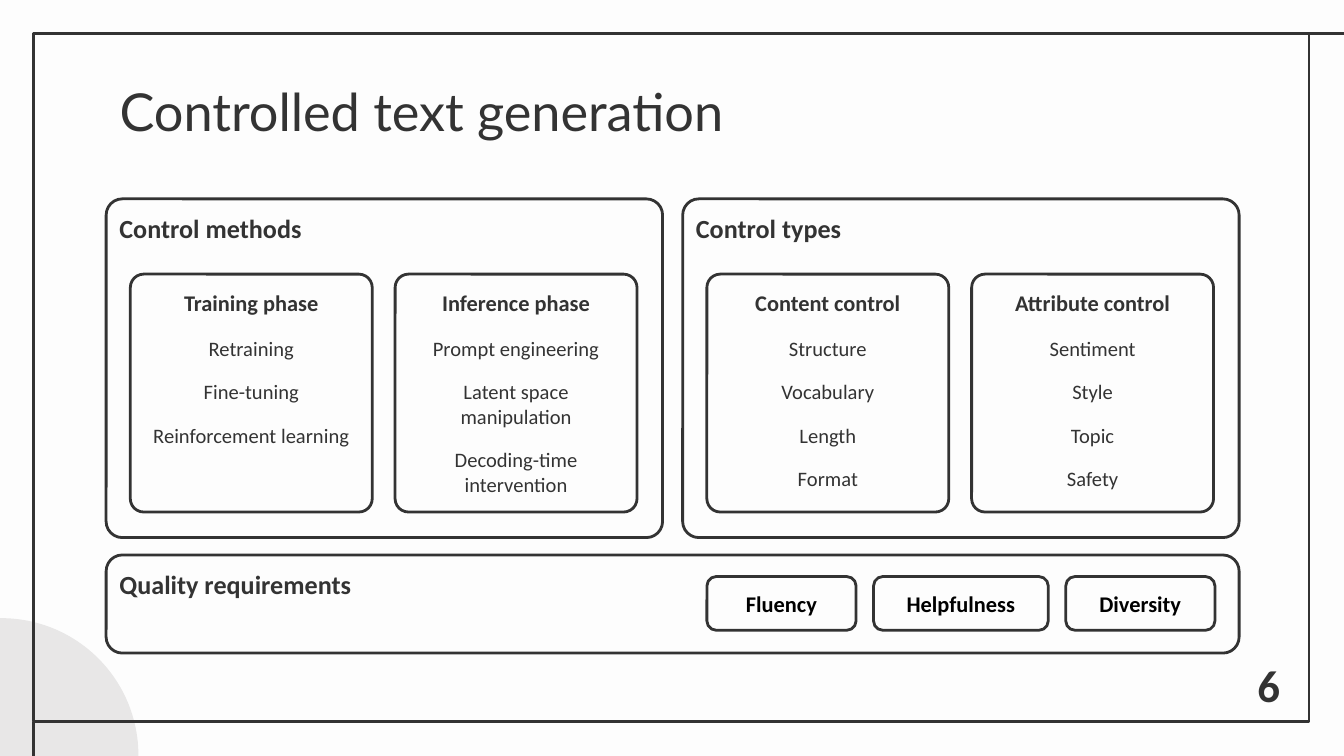
from lxml.etree import SubElement
from pptx import Presentation
from pptx.dml.color import RGBColor
from pptx.enum.shapes import MSO_CONNECTOR, MSO_SHAPE
from pptx.enum.text import MSO_ANCHOR, MSO_AUTO_SIZE, PP_ALIGN
from pptx.oxml.ns import qn
from pptx.util import Inches, Pt

HUES = {"page": "FDFDFD", "ink": "333333", "disc": "E8E7E7", "chip": "000000"}
WIDE = 10
HIGH = WIDE * 9 / 16
EDGE = 0.25                             # frame margin
LEFT, TOP = 0.79, 1.48                  # first panel
PANEL_W, PANEL_H, PANEL_STEP = 4.14, 2.52, 4.29
CARD_W, CARD_H, CARD_STEP = 1.8, 1.77, 1.97
PAD = 0.18                              # panel side to first card
CARD_TOP = 2.04
BAR_TOP, BAR_H = 4.13, 0.73
CHIP_TOP, CHIP_H, CHIP_GAP = 4.29, 0.4, 0.13

PANELS = [
    ("Control methods", [
        ("Training phase",
         ["Retraining", "Fine-tuning", "Reinforcement learning"]),
        ("Inference phase",
         ["Prompt engineering", "Latent space manipulation",
          "Decoding-time intervention"]),
    ]),
    ("Control types", [
        ("Content control", ["Structure", "Vocabulary", "Length", "Format"]),
        ("Attribute control", ["Sentiment", "Style", "Topic", "Safety"]),
    ]),
]
CHIPS = [("Fluency", 1.11), ("Helpfulness", 1.3), ("Diversity", 1.11)]


def hue(name):
    return RGBColor.from_string(HUES[name])


def stroke(line):
    line.color.rgb = hue("ink")
    line.width = Pt(1.5)


def write(frame, lines, size, bold=False, align=PP_ALIGN.CENTER, gap=0,
          color="ink", font="Calibri"):
    """Fill a text frame, one paragraph a line, with gap points between."""
    frame.word_wrap = True
    frame.auto_size = MSO_AUTO_SIZE.NONE
    frame.margin_left = frame.margin_right = Inches(0.1)
    frame.margin_top = frame.margin_bottom = Inches(0.1)
    for i, text in enumerate(lines):
        para = frame.paragraphs[0] if i == 0 else frame.add_paragraph()
        para.text = text
        para.alignment = align
        para.space_before = Pt(gap if i else 0)
        para.font.name = font
        para.font.size = Pt(size)
        para.font.bold = bold
        para.font.color.rgb = hue(color)


def add_text(slide, x, y, w, h, lines, size, **style):
    box = slide.shapes.add_textbox(Inches(x), Inches(y), Inches(w), Inches(h))
    write(box.text_frame, lines, size, **style)


def add_form(slide, kind, x, y, w, h, fill=None, lined=True):
    form = slide.shapes.add_shape(
        kind, Inches(x), Inches(y), Inches(w), Inches(h))
    form.shadow.inherit = False
    if fill:
        form.fill.solid()
        form.fill.fore_color.rgb = hue(fill)
    else:
        form.fill.background()
    if lined:
        stroke(form.line)
    else:
        form.line.fill.background()
    return form


def add_round(slide, x, y, w, h, curve):
    """Add an outlined box whose corner radius is curve inches."""
    form = add_form(slide, MSO_SHAPE.ROUNDED_RECTANGLE, x, y, w, h, "page")
    form.adjustments[0] = curve / min(w, h)
    return form


def add_line(slide, *ends):
    line = slide.shapes.add_connector(
        MSO_CONNECTOR.STRAIGHT, *[Inches(end) for end in ends])
    stroke(line.line)
    SubElement(line._element.spPr, qn("a:effectLst"))


def add_decor(slide):
    add_form(slide, MSO_SHAPE.OVAL, -1.01, 4.6, 2.04, 2.04, "disc", False)
    right, low = 9.74, 5.37
    add_form(slide, MSO_SHAPE.RECTANGLE, EDGE, EDGE, right - EDGE, low - EDGE)
    add_line(slide, WIDE, EDGE, right, EDGE)
    add_line(slide, EDGE, HIGH, EDGE, low)


def add_title(slide, text):
    title = slide.shapes.title
    title.left, title.top = Inches(LEFT), Inches(0.49)
    title.width, title.height = Inches(8.43), Inches(0.63)
    title.text_frame.vertical_anchor = MSO_ANCHOR.TOP
    write(title.text_frame, [text], 28, align=PP_ALIGN.LEFT, font="Lato")


def add_panel(slide, x, y, w, h, head):
    add_round(slide, x, y, w, h, 0.12)
    add_text(slide, x, y, PANEL_W, 0.44, [head], 14, bold=True,
             align=PP_ALIGN.LEFT)


def add_card(slide, x, head, items):
    add_round(slide, x, CARD_TOP, CARD_W, CARD_H, 0.1)
    add_text(slide, x, CARD_TOP + 0.01, CARD_W, 0.4, [head], 12, bold=True)
    add_text(slide, x, CARD_TOP + 0.36, CARD_W, 1.41, items, 11, gap=10)


def add_chips(slide, x):
    for text, w in CHIPS:
        chip = add_round(slide, x, CHIP_TOP, w, CHIP_H, 0.07)
        chip.text_frame.vertical_anchor = MSO_ANCHOR.MIDDLE
        write(chip.text_frame, [text], 12, bold=True, color="chip")
        x += w + CHIP_GAP


def main():
    deck = Presentation()
    deck.slide_width, deck.slide_height = Inches(WIDE), Inches(HIGH)
    slide = deck.slides.add_slide(deck.slide_layouts.get_by_name("Title Only"))
    slide.background.fill.solid()
    slide.background.fill.fore_color.rgb = hue("page")

    add_decor(slide)
    add_title(slide, "Controlled text generation")
    for i, (head, cards) in enumerate(PANELS):
        x = LEFT + i * PANEL_STEP
        add_panel(slide, x, TOP, PANEL_W, PANEL_H, head)
        for j, (name, items) in enumerate(cards):
            add_card(slide, x + PAD + j * CARD_STEP, name, items)
    add_panel(slide, LEFT, BAR_TOP, PANEL_STEP + PANEL_W, BAR_H,
              "Quality requirements")
    add_chips(slide, LEFT + PANEL_STEP + PAD)
    add_text(slide, 9.21, 4.79, 0.46, 0.51, ["6"], 24, bold=True)
    deck.save("out.pptx")


if __name__ == "__main__":
    main()
